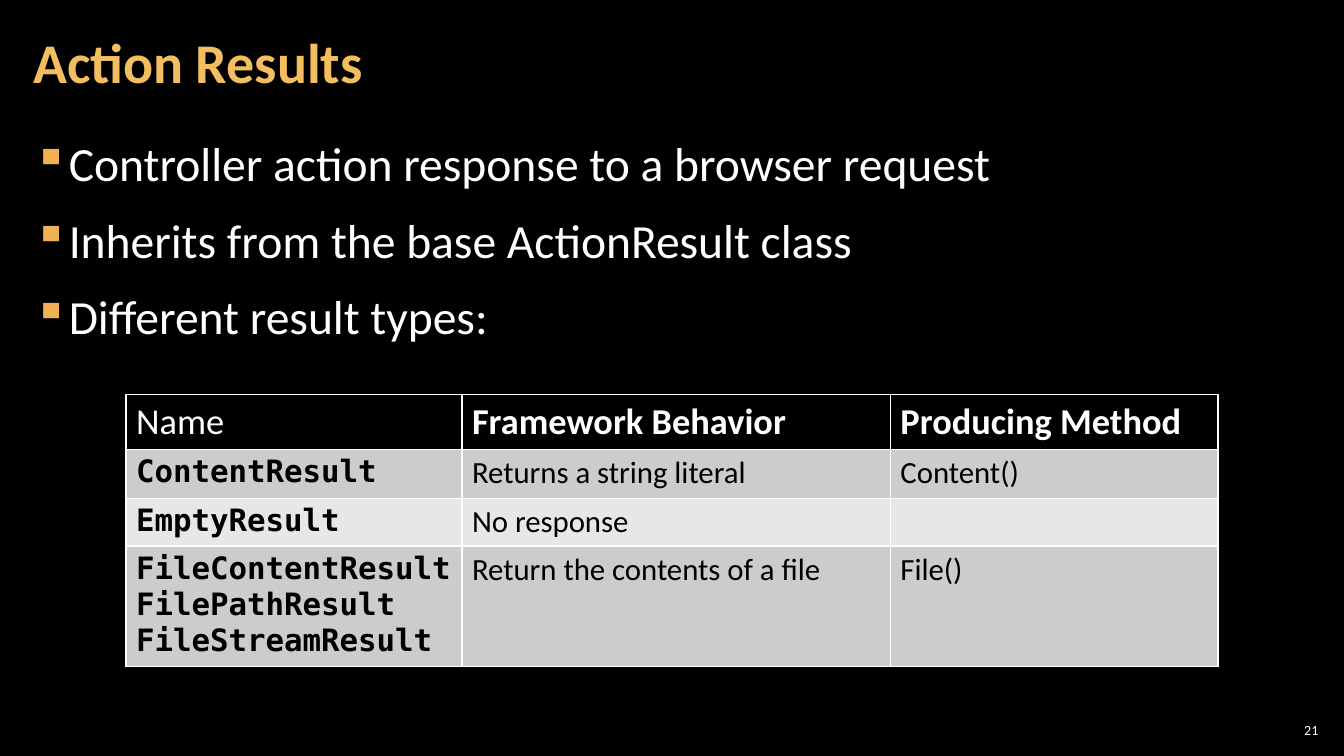
from lxml import etree
from pptx import Presentation
from pptx.dml.color import RGBColor
from pptx.enum.text import MSO_ANCHOR, PP_ALIGN
from pptx.oxml.ns import qn
from pptx.util import Pt

MIDDLE, TOP = MSO_ANCHOR.MIDDLE, MSO_ANCHOR.TOP
LEFT, RIGHT = PP_ALIGN.LEFT, PP_ALIGN.RIGHT

TITLE = "Action Results"
POINTS = [
    "Controller action response to a browser request",
    "Inherits from the base ActionResult class",
    "Different result types:",
]
RESULT_TYPES = [
    ("Name", "Framework Behavior", "Producing Method"),
    ("ContentResult", "Returns a string literal", "Content()"),
    ("EmptyResult", "No response", ""),
    ("FileContentResult\nFilePathResult\nFileStreamResult", "Return the contents of a file", "File()"),
]
PAGE_NUMBER = "21"

COLORS = {
    "background": "000000",
    "title": "F3BE60",
    "bullet": "F2B254",
    "light": "FFFFFF",
    "dark": "000000",
    "odd_row": "CCCCCC",
    "even_row": "E7E7E7",
}
SANS, MONO = "Calibri", "DejaVu Sans Mono"
COLUMN_WIDTHS = [240, 306, 234]
ROW_HEIGHTS = [39, 35, 34, 84]


def color(name):
    return RGBColor.from_string(COLORS[name])


def format_runs(frame, size, color_name, font=SANS, bold=False):
    for paragraph in frame.paragraphs:
        for run in paragraph.runs:
            run.font.size = Pt(size)
            run.font.name = font
            run.font.bold = bold
            run.font.color.rgb = color(color_name)


def add_text(slide, text, box, size, color_name, anchor=TOP, align=LEFT, inset=8.64, bold=False):
    frame = slide.shapes.add_textbox(*map(Pt, box)).text_frame
    frame.word_wrap = True
    frame.vertical_anchor = anchor
    frame.margin_left = frame.margin_right = Pt(inset)
    frame.margin_top = frame.margin_bottom = Pt(2.88)
    frame.text = text
    for paragraph in frame.paragraphs:
        paragraph.alignment = align
    format_runs(frame, size, color_name, bold=bold)
    return frame


def add_bullet(paragraph):
    paragraph.line_spacing = 1.05
    paragraph.space_before = paragraph.space_after = Pt(6)
    properties = paragraph._p.get_or_add_pPr()
    properties.set("marL", str(Pt(24)))
    properties.set("indent", str(-Pt(24)))
    bullet_color = etree.SubElement(properties, qn("a:buClr"))
    etree.SubElement(bullet_color, qn("a:srgbClr"), val=COLORS["bullet"])
    etree.SubElement(properties, qn("a:buChar"), char="▪")


def add_borders(cell):
    properties = cell._tc.get_or_add_tcPr()
    for position, side in enumerate(("lnL", "lnR", "lnT", "lnB")):
        line = etree.Element(qn(f"a:{side}"), w=str(Pt(1)))
        fill = etree.SubElement(line, qn("a:solidFill"))
        etree.SubElement(fill, qn("a:srgbClr"), val=COLORS["light"])
        properties.insert(position, line)


def add_results_table(slide):
    table = slide.shapes.add_table(
        len(RESULT_TYPES), len(COLUMN_WIDTHS),
        Pt(90), Pt(282), Pt(sum(COLUMN_WIDTHS)), Pt(sum(ROW_HEIGHTS)),
    ).table
    for column, width in zip(table.columns, COLUMN_WIDTHS):
        column.width = Pt(width)
    for row, height in zip(table.rows, ROW_HEIGHTS):
        row.height = Pt(height)
    for r, entries in enumerate(RESULT_TYPES):
        row_fill = "odd_row" if r % 2 else "even_row"
        for c, entry in enumerate(entries):
            cell = table.cell(r, c)
            cell.text_frame.text = entry
            cell.fill.solid()
            cell.fill.fore_color.rgb = color("background" if r == 0 else row_fill)
            add_borders(cell)
            if r == 0:
                format_runs(cell.text_frame, 26, "light", bold=c > 0)
            else:
                format_runs(cell.text_frame, 22, "dark", SANS if c else MONO, c == 0)


def main():
    presentation = Presentation()
    presentation.slide_width, presentation.slide_height = Pt(960), Pt(540)
    slide = presentation.slides.add_slide(presentation.slide_layouts[6])
    slide.background.fill.solid()
    slide.background.fill.fore_color.rgb = color("background")

    add_text(slide, PAGE_NUMBER, (910.8, 514, 33.8, 15.1), 10, "light", MIDDLE, RIGHT, 2.88)
    points = add_text(slide, "\n".join(POINTS), (15.1, 90.7, 929.5, 438.5), 34, "light")
    for paragraph in points.paragraphs:
        add_bullet(paragraph)
    title = add_text(slide, TITLE, (15.1, 2.9, 753.8, 87.1), 40, "title", MIDDLE, bold=True)
    title.paragraphs[0].line_spacing = 0.9
    add_results_table(slide)
    presentation.save("out.pptx")


if __name__ == "__main__":
    main()
